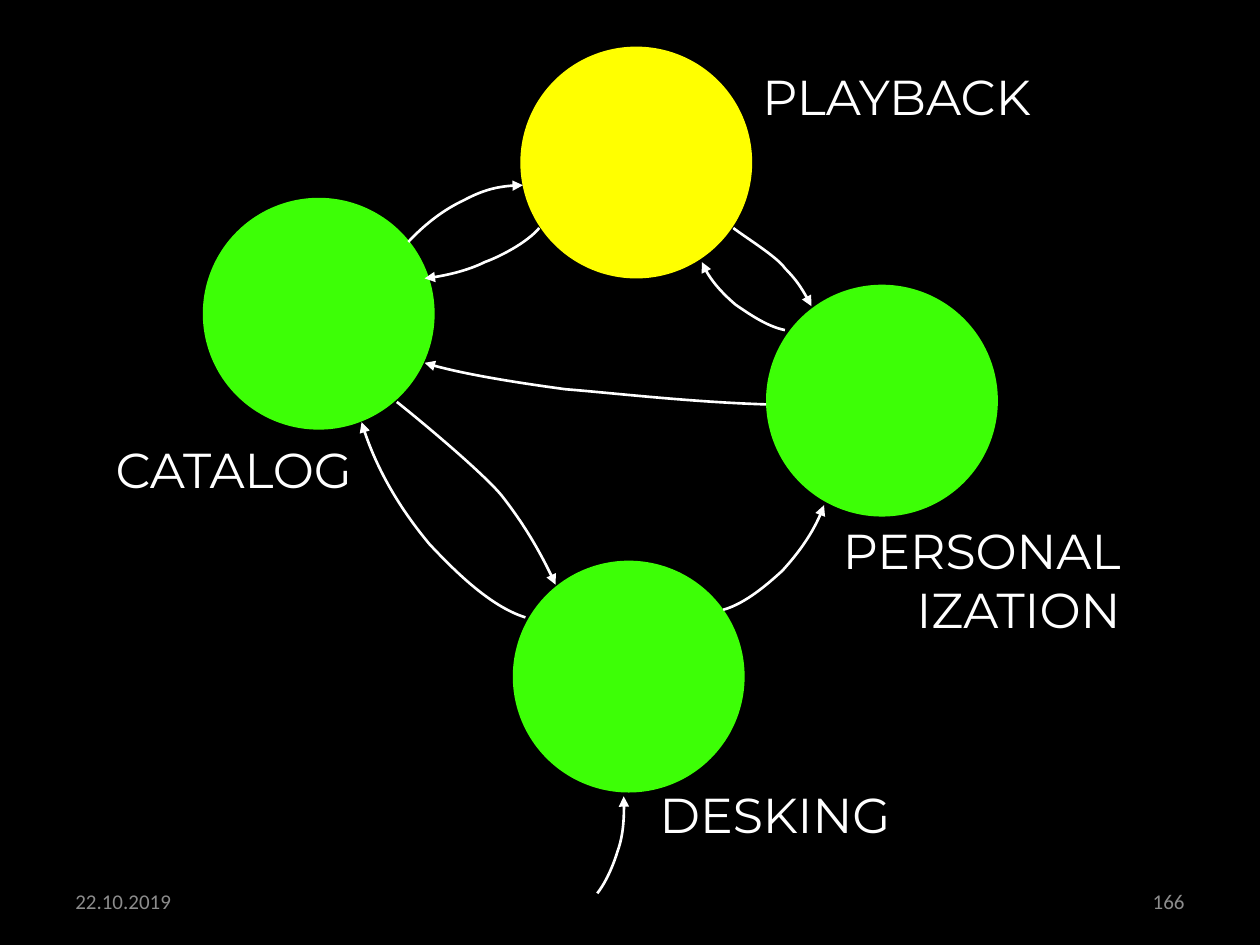
from lxml.etree import SubElement
from pptx import Presentation
from pptx.dml.color import RGBColor
from pptx.enum.shapes import MSO_SHAPE
from pptx.enum.text import MSO_ANCHOR, MSO_AUTO_SIZE, PP_ALIGN
from pptx.oxml.ns import qn
from pptx.util import Inches, Pt

BLACK, WHITE, GREY = "000000", "FFFFFF", "8C8C8C"
YELLOW, GREEN = "FFFF00", "3DFF06"
DIAMETER = 1.84

STATES = [
    (4.13, 0.37, YELLOW),
    (6.08, 2.26, GREEN),
    (4.07, 4.45, GREEN),
    (1.61, 1.57, GREEN),
]

TRANSITIONS = [
    [(3.24, 1.92), (3.38, 1.77), (3.53, 1.66), (3.68, 1.59), (3.83, 1.51), (3.98, 1.47), (4.15, 1.47)],
    [(4.74, 7.09), (4.82, 6.99), (4.88, 6.83), (4.9, 6.76), (4.93, 6.68), (4.96, 6.54), (4.95, 6.32)],
    [(6.08, 3.21), (5.46, 3.19), (4.87, 3.12), (4.49, 3.09), (4.19, 3.05), (3.65, 2.97), (3.37, 2.88)],
    [(4.17, 4.9), (3.88, 4.81), (3.59, 4.51), (3.41, 4.32), (3.26, 4.14), (3, 3.79), (2.87, 3.35)],
    [(6.23, 2.62), (6.08, 2.59), (5.93, 2.48), (5.84, 2.42), (5.77, 2.36), (5.63, 2.23), (5.57, 2.08)],
    [(5.82, 1.81), (5.91, 1.88), (6.17, 2.04), (6.23, 2.13), (6.32, 2.22), (6.39, 2.33), (6.44, 2.43)],
    [(4.28, 1.81), (4.18, 1.93), (3.96, 2.04), (3.85, 2.08), (3.75, 2.13), (3.56, 2.19), (3.37, 2.21)],
    [(5.74, 4.84), (5.92, 4.79), (6.1, 4.63), (6.21, 4.53), (6.3, 4.43), (6.46, 4.24), (6.54, 4.01)],
    [(3.15, 3.19), (3.34, 3.34), (3.83, 3.75), (3.98, 3.93), (4.16, 4.16), (4.31, 4.42), (4.41, 4.64)],
]

LABEL_FONT = {"name": "Montserrat", "size": Pt(28)}
FOOTER_FONT = {"name": "Calibri", "size": Pt(12)}
LABEL_FRAME = {"word_wrap": False, "auto_size": MSO_AUTO_SIZE.SHAPE_TO_FIT_TEXT}
FOOTER_FRAME = {"word_wrap": True, "vertical_anchor": MSO_ANCHOR.MIDDLE}

LABELS = [
    ("PLAYBACK", (5.83, 0.48, 2.57, 0.57), PP_ALIGN.CENTER),
    ("DESKING", (5.1, 6.18, 2.1, 0.57), PP_ALIGN.CENTER),
    ("PERSONAL\vIZATION", (6.47, 4.08, 2.52, 1.04), PP_ALIGN.RIGHT),
    ("CATALOG", (0.63, 3.44, 2.26, 0.57), PP_ALIGN.RIGHT),
]
FOOTERS = [
    ("22.10.2019", (0.5, 6.95, 2.33, 0.4), PP_ALIGN.LEFT),
    ("166", (7.17, 6.95, 2.33, 0.4), PP_ALIGN.RIGHT),
]


def paint(fill, color):
    """Give a fill one solid hex colour."""
    fill.solid()
    fill.fore_color.rgb = RGBColor.from_string(color)


def add_state(slide, left, top, color):
    """Draw one state as a circle."""
    circle = slide.shapes.add_shape(
        MSO_SHAPE.OVAL, *map(Inches, (left, top, DIAMETER, DIAMETER)))
    circle.shadow.inherit = False
    paint(circle.fill, color)
    circle.line.fill.background()


def add_transition(slide, points):
    """Draw a curved arrow through a start point and groups of three Bezier points."""
    start, *controls = [(Inches(x), Inches(y)) for x, y in points]
    builder = slide.shapes.build_freeform(*start)
    builder.add_line_segments(controls, close=False)
    arrow = builder.convert_to_shape()
    outline = next(arrow.element.iter(qn("a:path")))
    segments = outline.findall(qn("a:lnTo"))
    for first in range(0, len(segments), 3):
        curve = SubElement(outline, qn("a:cubicBezTo"))
        for segment in segments[first:first + 3]:
            curve.append(segment[0])
            outline.remove(segment)
    arrow.shadow.inherit = False
    arrow.fill.background()
    paint(arrow.line.fill, WHITE)
    arrow.line.width = Pt(1.5)
    SubElement(arrow.line._get_or_add_ln(), qn("a:tailEnd"), type="triangle")


def add_text(slide, text, box, align, font, frame, color):
    """Place a text box with one paragraph."""
    text_frame = slide.shapes.add_textbox(*map(Inches, box)).text_frame
    for key, value in frame.items():
        setattr(text_frame, key, value)
    text_frame.text = text
    paragraph = text_frame.paragraphs[0]
    paragraph.alignment = align
    for run in paragraph.runs:
        for key, value in font.items():
            setattr(run.font, key, value)
        paint(run.font.fill, color)


def main():
    """Build the state diagram slide."""
    deck = Presentation()
    deck.slide_width, deck.slide_height = Inches(10), Inches(7.5)
    slide = deck.slides.add_slide(deck.slide_layouts[6])
    paint(slide.background.fill, BLACK)
    for state in STATES:
        add_state(slide, *state)
    for footer in FOOTERS:
        add_text(slide, *footer, FOOTER_FONT, FOOTER_FRAME, GREY)
    for points in TRANSITIONS:
        add_transition(slide, points)
    for label in LABELS:
        add_text(slide, *label, LABEL_FONT, LABEL_FRAME, WHITE)
    deck.save("out.pptx")


if __name__ == "__main__":
    main()
